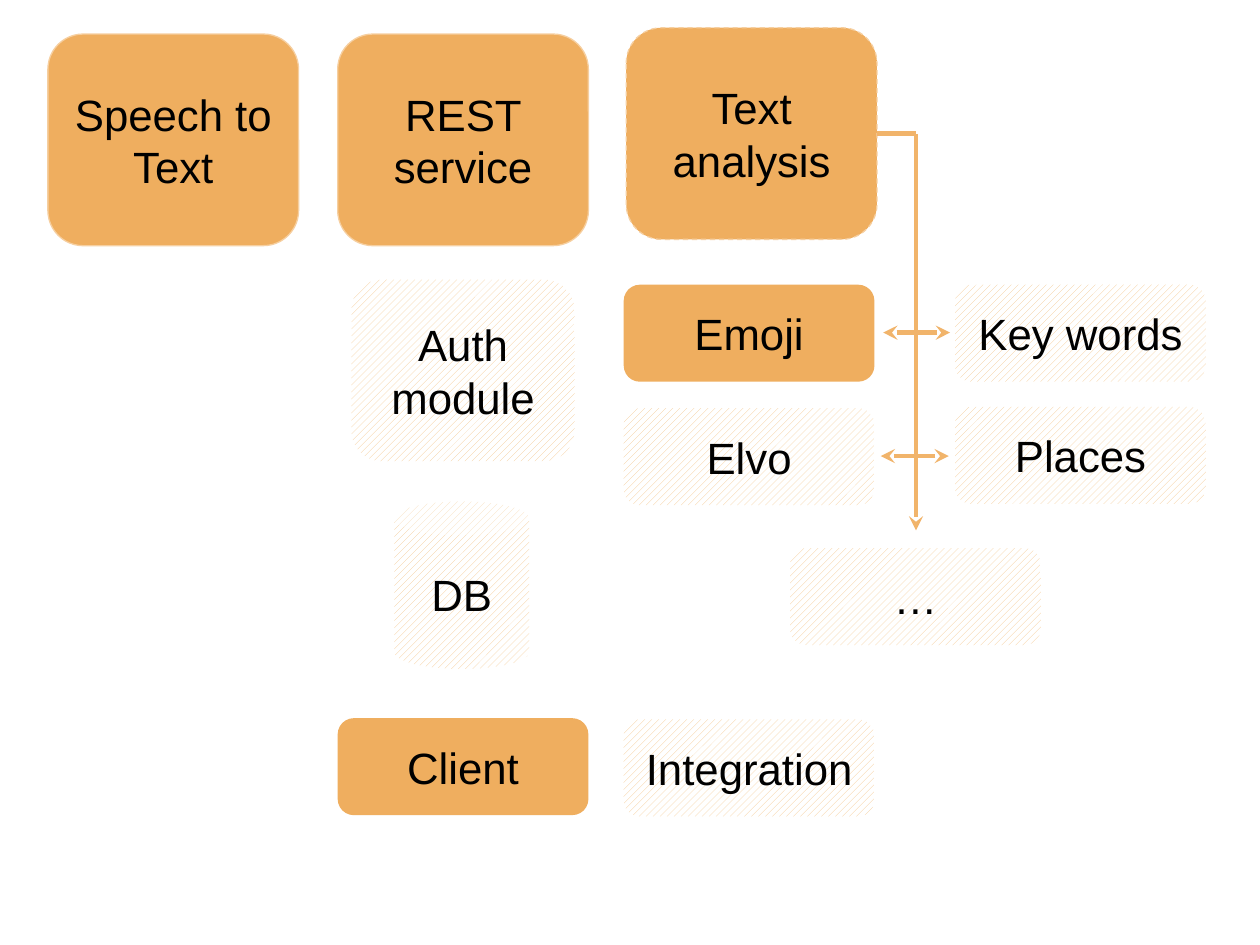
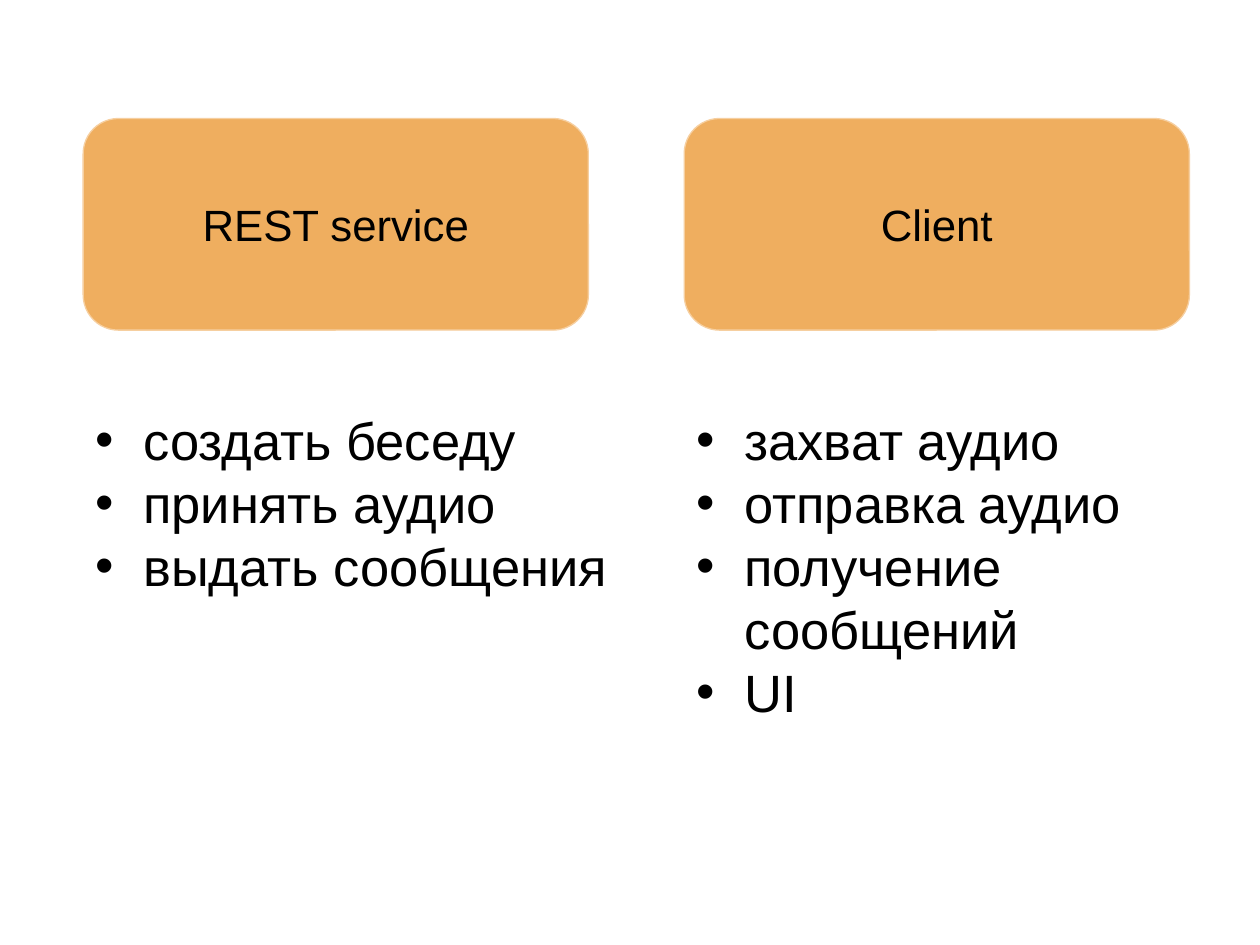
from lxml.etree import SubElement
from pptx import Presentation
from pptx.dml.color import RGBColor
from pptx.enum.dml import MSO_LINE, MSO_PATTERN
from pptx.enum.shapes import MSO_CONNECTOR, MSO_SHAPE
from pptx.enum.text import MSO_ANCHOR, PP_ALIGN
from pptx.oxml.ns import qn
from pptx.util import Inches, Pt

ORANGE = RGBColor(0xEF, 0xAE, 0x5F)
EDGE = RGBColor(0xF6, 0xCF, 0xA0)
HATCH = RGBColor(0xF4, 0xC7, 0x90)
ARROW = RGBColor(0xF1, 0xB4, 0x6B)
BLACK = RGBColor(0, 0, 0)
WHITE = RGBColor(0xFF, 0xFF, 0xFF)

BOX_FONT = {"name": "Arial", "size": Pt(25)}
LIST_FONT = {"name": "Arial", "size": Pt(30)}
BOX_W, TALL_H, LOW_H = 1.99, 1.68, 0.77
WIDE_W = 4.01
TRUNK_X = 7.27


def write(p, text, font):
    """Put one black run with the given font values in a paragraph."""
    r = p.add_run()
    r.text = text
    for name, value in font.items():
        setattr(r.font, name, value)
    r.font.color.rgb = BLACK


def add_box(s, text, x, y, w, h, shape=MSO_SHAPE.ROUNDED_RECTANGLE):
    """Add a borderless orange box with a centred label."""
    box = s.shapes.add_shape(shape, Inches(x), Inches(y), Inches(w), Inches(h))
    box.shadow.inherit = False
    box.fill.solid()
    box.fill.fore_color.rgb = ORANGE
    box.line.fill.background()
    tf = box.text_frame
    tf.word_wrap = True
    tf.vertical_anchor = MSO_ANCHOR.MIDDLE
    p = tf.paragraphs[0]
    p.alignment = PP_ALIGN.CENTER
    write(p, text, BOX_FONT)
    return box


def add_edged_box(s, text, x, y, w, dash=None):
    """Add a tall orange box with a hairline border."""
    line = add_box(s, text, x, y, w, TALL_H).line
    line.color.rgb = EDGE
    line.width = Pt(0)
    if dash:
        line.dash_style = dash


def add_planned_box(s, *args, **kwargs):
    """Add a hatched box for a part not built yet."""
    fill = add_box(s, *args, **kwargs).fill
    fill.patterned()
    fill.pattern = MSO_PATTERN.WIDE_UPWARD_DIAGONAL
    fill.fore_color.rgb = HATCH
    fill.back_color.rgb = WHITE


def add_line(s, x1, y1, x2, y2, arrow=True):
    """Add a connector, with an arrowhead at its start if wanted."""
    line = s.shapes.add_connector(MSO_CONNECTOR.STRAIGHT, Inches(x1), Inches(y1),
                                  Inches(x2), Inches(y2))
    line.line.color.rgb = ARROW
    line.line.width = Pt(2.75)
    if arrow:
        SubElement(line.line._get_or_add_ln(), qn("a:headEnd"), type="stealth")
    SubElement(line._element.spPr, qn("a:effectLst"))


def add_bullets(s, items, x, y, w, h):
    """Add a bulleted list in a text box."""
    tf = s.shapes.add_textbox(Inches(x), Inches(y), Inches(w), Inches(h)).text_frame
    tf.word_wrap = True
    for i, item in enumerate(items):
        p = tf.add_paragraph() if i else tf.paragraphs[0]
        pPr = p._p.get_or_add_pPr()
        pPr.set("marL", str(Inches(0.38)))
        pPr.set("indent", str(-Inches(0.38)))
        SubElement(pPr, qn("a:buFont"), typeface="Arial")
        SubElement(pPr, qn("a:buChar"), char="•")
        write(p, item, LIST_FONT)


def add_module_map(prs):
    """Build the slide that maps the modules of the system."""
    s = prs.slides.add_slide(prs.slide_layouts[6])
    add_edged_box(s, "Speech to Text", 0.38, 0.27, BOX_W)
    add_edged_box(s, "REST service", 2.68, 0.27, BOX_W)
    add_edged_box(s, "Text analysis", 4.97, 0.22, BOX_W, MSO_LINE.DASH)
    add_planned_box(s, "Auth module", 2.79, 2.22, 1.77, 1.44)
    add_planned_box(s, "DB", 3.13, 3.98, 1.07, 1.33, shape=MSO_SHAPE.CAN)

    for text, x, y in (("Client", 2.68, 5.7), ("Emoji", 4.95, 2.26)):
        add_box(s, text, x, y, BOX_W, LOW_H)
    for text, x, y in (("Key words", 7.58, 2.26), ("Elvo", 4.95, 3.24),
                       ("Places", 7.58, 3.23), ("…", 6.27, 4.35),
                       ("Integration", 4.95, 5.71)):
        add_planned_box(s, text, x, y, BOX_W, LOW_H)

    add_line(s, 6.96, 1.06, TRUNK_X, 1.06, arrow=False)
    add_line(s, TRUNK_X, 4.21, TRUNK_X, 1.06)
    for left, right, y in ((7.01, 7.54, 2.64), (6.99, 7.53, 3.62)):
        for tip in (left, right):
            add_line(s, tip, y, TRUNK_X, y)


def add_task_lists(prs):
    """Build the slide that lists the tasks of service and client."""
    s = prs.slides.add_slide(prs.slide_layouts[6])
    columns = (
        ("REST service", 0.66, 1.62,
         ("создать беседу", "принять аудио", "выдать сообщения")),
        ("Client", 5.43, 2.63,
         ("захват аудио", "отправка аудио", "получение сообщений", "UI")),
    )
    for title, x, list_h, tasks in columns:
        add_edged_box(s, title, x, 0.94, WIDE_W)
        add_bullets(s, tasks, x, 3.19, 4.77, list_h)


def main():
    """Build and save the presentation."""
    prs = Presentation()
    prs.slide_width, prs.slide_height = Inches(10), Inches(7.5)
    add_module_map(prs)
    add_task_lists(prs)
    prs.save("out.pptx")


if __name__ == "__main__":
    main()
